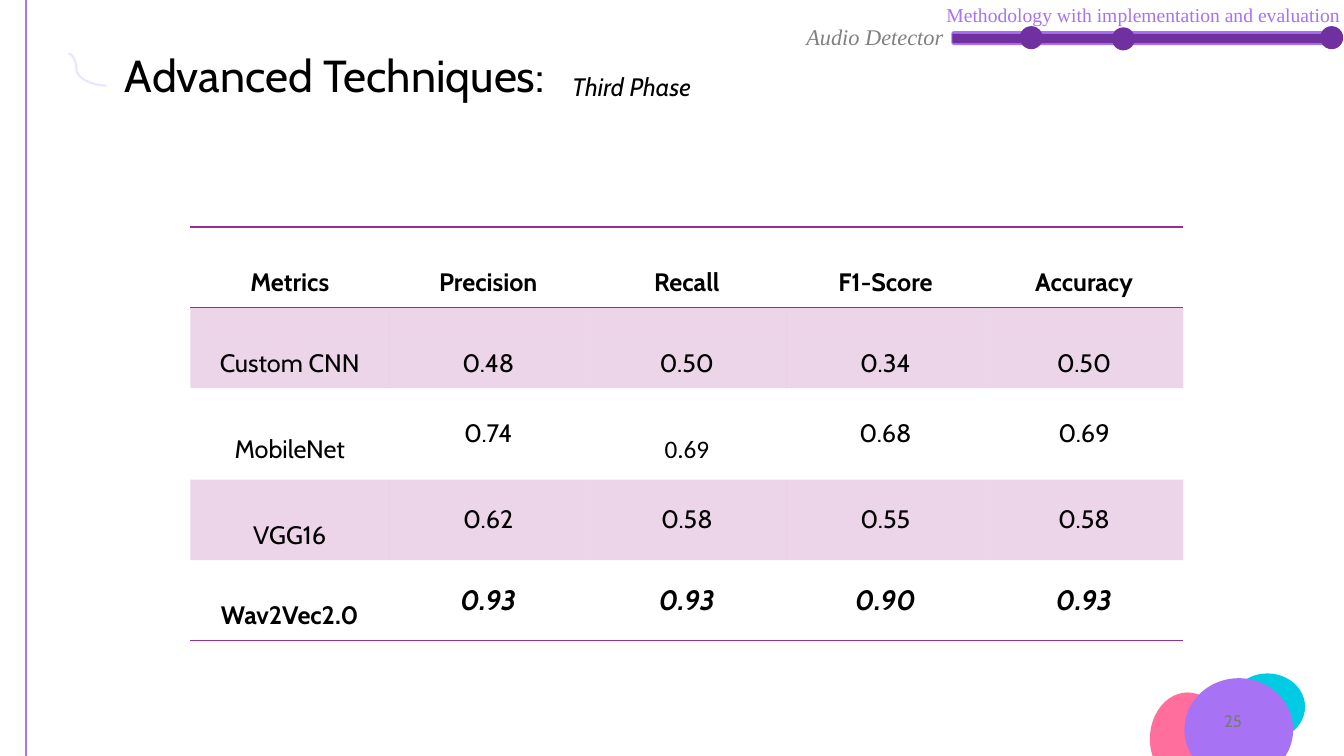
"""Build the slide on the third phase of the audio detector."""
from pptx import Presentation
from pptx.dml.color import RGBColor
from pptx.enum.shapes import MSO_CONNECTOR as Link, MSO_SHAPE as Form
from pptx.enum.text import MSO_ANCHOR as Anchor, PP_ALIGN as Align
from pptx.oxml import parse_xml
from pptx.oxml.ns import nsdecls, qn
from pptx.oxml.xmlchemy import OxmlElement as Node
from pptx.util import Cm, Pt

HUES = {
    "lilac": "A773F4", "pale": "EDE3FD", "pink": "FF6E9C", "cyan": "00CBE2",
    "plum": "7030A0", "rule": "A02B93", "black": "000000",
    "gray": "808080", "dim": "797979",
}
PLAIN = "{2D5ABB26-0587-4C30-8999-92F81FD0307C}"
ROWS = [
    ["Metrics", "Precision", "Recall", "F1-Score", "Accuracy"],
    ["Custom CNN", "0.48", "0.50", "0.34", "0.50"],
    ["MobileNet", "0.74", "0.69", "0.68", "0.69"],
    ["VGG16", "0.62", "0.58", "0.55", "0.58"],
    ["Wav2Vec2.0", "0.93", "0.93", "0.90", "0.93"],
]
HIGHS = [2.03, 2.03, 2.31, 2.03, 2.03]


class Deck:
    def __init__(self):
        self.file = Presentation()
        self.file.slide_width, self.file.slide_height = Cm(33.87), Cm(19.05)
        self.slide = self.file.slides.add_slide(self.file.slide_layouts[6])
        self.items = self.slide.shapes

    def hue(self, name):
        return RGBColor.from_string(HUES[name])

    def font(self, para, size, hue="black", face="Cabin", bold=False, italic=False):
        font = para.font
        font.size, font.name, font.bold, font.italic = Pt(size), face, bold, italic
        font.color.rgb = self.hue(hue)

    def shape(self, form, box, fill=None, line=None):
        item = self.items.add_shape(form, *map(Cm, box))
        item.shadow.inherit = False
        if fill:
            item.fill.solid()
            item.fill.fore_color.rgb = self.hue(fill)
        else:
            item.fill.background()
        if line:
            item.line.color.rgb = self.hue(line)
            item.line.width = Pt(1.5)
        else:
            item.line.fill.background()

    def line(self, kind, ends, hue, bend=None):
        item = self.items.add_connector(kind, *map(Cm, ends))
        item.line.color.rgb = self.hue(hue)
        item.line.width = Pt(1.5)
        props = item._element.spPr
        props.append(Node("a:effectLst"))
        if bend:
            guide = Node("a:gd")
            guide.set("name", "adj1")
            guide.set("fmla", f"val {bend}")
            props.find(qn("a:prstGeom")).get_or_add_avLst().append(guide)

    def text(self, words, box, size, level=0, align=Align.LEFT, anchor=Anchor.TOP, **style):
        frame = self.items.add_textbox(*map(Cm, box)).text_frame
        frame.word_wrap = True
        frame.vertical_anchor = anchor
        para = frame.paragraphs[0]
        para.text, para.level, para.alignment = words, level, align
        self.font(para, size, **style)

    def edge(self, cell, side):
        cell._tc.get_or_add_tcPr().insert(0, parse_xml(
            f'<a:{side} {nsdecls("a")} w="12700"><a:solidFill>'
            f'<a:srgbClr val="{HUES["rule"]}"/></a:solidFill></a:{side}>'))

    def shade(self, cell):
        cell.fill.solid()
        cell.fill.fore_color.rgb = self.hue("rule")
        alpha = Node("a:alpha")
        alpha.set("val", "20000")
        cell._tc.tcPr.find(f".//{qn('a:srgbClr')}").append(alpha)

    def table(self, rows, highs, box):
        last = len(rows) - 1
        grid = self.items.add_table(len(rows), len(rows[0]), *map(Cm, box)).table
        grid._tbl.tblPr.find(qn("a:tableStyleId")).text = PLAIN
        for r, (row, high) in enumerate(zip(rows, highs)):
            grid.rows[r].height = Cm(high)
            for c, words in enumerate(row):
                cell = grid.cell(r, c)
                cell.vertical_anchor = Anchor.MIDDLE
                para = cell.text_frame.paragraphs[0]
                para.text, para.alignment = words, Align.CENTER
                if r < 2 or c == 0:
                    para.line_spacing = 2.0
                best = r == last and c > 0
                odd = (r, c) == (2, 2)
                self.font(para, 20 if best else 18, face="Calibri" if odd else "Cabin",
                          bold=r in (0, last), italic=best)
                if odd:
                    cell.margin_top = Cm(0.91)
                if r % 2:
                    self.shade(cell)
                else:
                    cell.fill.background()
                if r in (0, last):
                    self.edge(cell, "lnB")
                if r == 0:
                    self.edge(cell, "lnT")


def main():
    deck = Deck()
    deck.shape(Form.OVAL, (28.98, 17.45, 1.9, 2.34), "pink")
    deck.shape(Form.OVAL, (30.99, 16.97, 1.9, 1.68), "cyan")
    deck.shape(Form.OVAL, (29.85, 17.09, 2.74, 2.59), "lilac")
    deck.line(Link.STRAIGHT, (0.66, 0, 0.66, 19.79), "lilac")
    deck.line(Link.CURVE, (1.73, 1.35, 2.69, 2.16), "pale", bend=20700)
    deck.text("25", (23.93, 17.65, 7.62, 1.02), 12, align=Align.RIGHT,
              anchor=Anchor.MIDDLE, hue="dim")
    deck.text("Audio Detector", (18.8, 0.46, 5.74, 2.31), 16, level=1,
              hue="gray", face="Times New Roman", italic=True)
    deck.text("Methodology with implementation and evaluation",
              (23.6, -0.05, 11.48, 0.86), 14, hue="lilac", face="Times New Roman")
    deck.text("Advanced Techniques:", (2.9, 1.09, 16.43, 1.63), 32)
    deck.shape(Form.ROUNDED_RECTANGLE, (24, 0.81, 9.65, 0.3), line="lilac")
    deck.shape(Form.ROUNDED_RECTANGLE, (24, 0.84, 9.65, 0.25), "plum")
    for left, top in ((25.7, 0.66), (28.02, 0.69), (33.27, 0.66)):
        deck.shape(Form.OVAL, (left, top, 0.58, 0.58), "plum")
    deck.text("Third Phase", (14.17, 1.68, 5.26, 1.02), 18, italic=True)
    deck.table(ROWS, HIGHS, (4.8, 5.72, 25.02, 10.43))
    deck.file.save("out.pptx")


if __name__ == "__main__":
    main()
